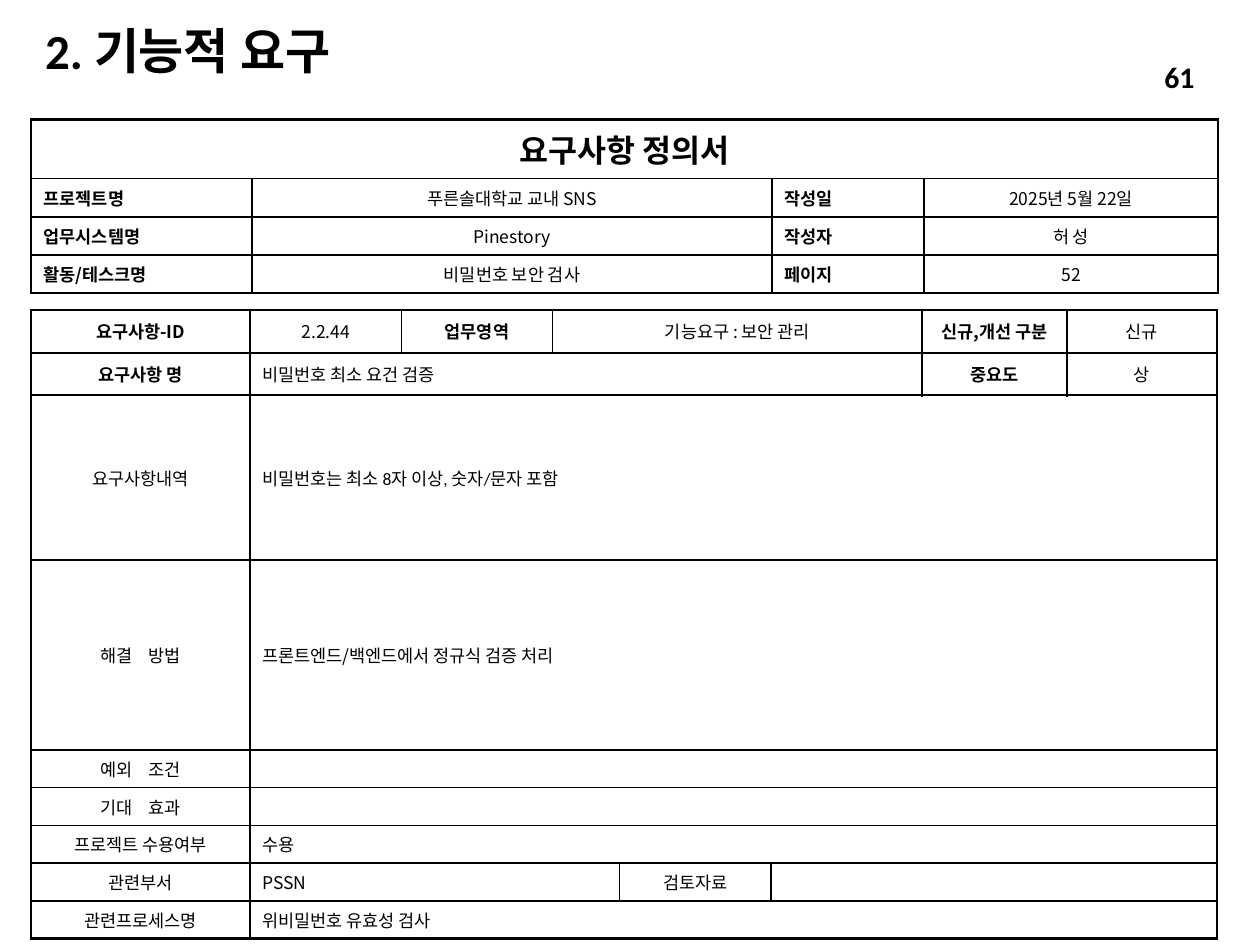
from dataclasses import dataclass

from lxml import etree
from pptx import Presentation
from pptx.dml.color import RGBColor
from pptx.enum.text import MSO_ANCHOR, PP_ALIGN
from pptx.oxml.ns import qn
from pptx.util import Cm, Pt

LEFT, MID, RIGHT, JUST = (PP_ALIGN.LEFT, PP_ALIGN.CENTER,
                          PP_ALIGN.RIGHT, PP_ALIGN.JUSTIFY)
TOP, CORE = MSO_ANCHOR.TOP, MSO_ANCHOR.MIDDLE
BLACK = "000000"
SANS, LATIN = "Noto Sans CJK KR", "Calibri"
THIN, THICK = 1, 1.5


@dataclass
class Cell:
    text: str = ""
    span: int = 1
    bold: bool = False
    align: PP_ALIGN = MID
    size: float = 10
    font: str = SANS
    anchor: MSO_ANCHOR = CORE
    gap: float = 0  # points added to each space


@dataclass
class Grid:
    left: float
    top: float
    cols: list[float]
    rows: list[float]
    cells: list[list[Cell]]
    heavy: set[int]  # horizontal rules drawn thick, counted from the top


def color(code: str) -> RGBColor:
    return RGBColor.from_string(code)


def style(para, size: float, font: str, bold: bool, align: PP_ALIGN) -> None:
    para.alignment = align
    para.font.size = Pt(size)
    para.font.name = font
    para.font.bold = bold
    para.font.color.rgb = color(BLACK)


def write(para, text: str, gap: float) -> None:
    """Add the text, with each space widened by gap points."""
    if not gap:
        para.add_run().text = text
        return
    for i, word in enumerate(text.split()):
        if i:
            space = para.add_run()
            space.text = " "
            space._r.get_or_add_rPr().set("spc", str(round(gap * 100)))
        para.add_run().text = word


def rule(cell, side: str, width: float) -> None:
    """Draw one border; call in the order L, R, T, B."""
    line = etree.SubElement(cell._tc.get_or_add_tcPr(), qn(f"a:ln{side}"),
                            w=str(Pt(width)))
    fill = etree.SubElement(line, qn("a:solidFill"))
    etree.SubElement(fill, qn("a:srgbClr"), val=BLACK)


def fill_cell(cell, item: Cell) -> None:
    cell.fill.background()
    cell.vertical_anchor = item.anchor
    para = cell.text_frame.paragraphs[0]
    style(para, item.size, item.font, item.bold, item.align)
    para.space_before = Pt(item.size * 0.2)
    if item.text:
        write(para, item.text, item.gap)


def draw_grid(slide, grid: Grid) -> None:
    high, wide = len(grid.rows), len(grid.cols)
    table = slide.shapes.add_table(
        high, wide, Cm(grid.left), Cm(grid.top),
        Cm(sum(grid.cols)), Cm(sum(grid.rows))).table
    table.first_row = table.horz_banding = False
    for col, width in zip(table.columns, grid.cols):
        col.width = Cm(width)
    for row, height in zip(table.rows, grid.rows):
        row.height = Cm(height)
    for r, items in enumerate(grid.cells):
        c = 0
        for item in items:
            cell, end = table.cell(r, c), c + item.span
            if item.span > 1:
                cell.merge(table.cell(r, end - 1))
            rule(cell, "L", THIN if c else THICK)
            rule(cell, "R", THICK if end == wide and item.span == 1 else THIN)
            rule(cell, "T", THICK if r in grid.heavy else THIN)
            rule(cell, "B", THICK if r + 1 in grid.heavy else THIN)
            fill_cell(cell, item)
            c = end


def add_label(slide, box: tuple, text: str, size: float, align: PP_ALIGN):
    frame = slide.shapes.add_textbox(*map(Cm, box)).text_frame
    frame.word_wrap = True
    frame.vertical_anchor = CORE
    para = frame.paragraphs[0]
    style(para, size, LATIN, True, align)
    para.add_run().text = text
    return para


def info(label: str, value: str, side: str, note: str) -> list[Cell]:
    return [Cell(label, bold=True, align=JUST, anchor=TOP),
            Cell(value, anchor=TOP),
            Cell(side, bold=True, align=JUST, anchor=TOP),
            Cell(note, anchor=TOP)]


def entry(label: str, value: str = "", font: str = SANS,
          gap: float = 0) -> list[Cell]:
    return [Cell(label, gap=gap), Cell(value, 7, align=LEFT, font=font)]


HEAD = Grid(0.63, 2.41, [4.45, 10.48, 3.07, 5.92], [1.19] + [0.77] * 3, [
    [Cell("요구사항 정의서", 4, True, size=18)],
    info("프로젝트명", "푸른솔대학교 교내 SNS", "작성일", "2025년 5월 22일"),
    info("업무시스템명", "Pinestory", "작성자", "허 성"),
    info("활동/테스크명", "비밀번호 보안 검사", "페이지", "52"),
], {0, 4})

BODY = Grid(
    0.63, 6.25, [4.41, 3.05, 3.05, 1.35, 3.05, 3.05, 2.92, 3.02],
    [0.86, 0.86, 3.32, 3.83] + [0.76] * 5, [
        [Cell("요구사항-ID", bold=True), Cell("2.2.44"),
         Cell("업무영역", bold=True), Cell("기능요구 : 보안 관리", 3),
         Cell("신규,개선 구분", bold=True), Cell("신규")],
        [Cell("요구사항 명", bold=True),
         Cell("비밀번호 최소 요건 검증", 5, align=LEFT),
         Cell("중요도", bold=True), Cell("상")],
        entry("요구사항내역", "비밀번호는 최소 8자 이상, 숫자/문자 포함", LATIN),
        entry("해결 방법", "프론트엔드/백엔드에서 정규식 검증 처리", gap=7),
        entry("예외 조건", gap=7),
        entry("기대 효과", gap=7),
        entry("프로젝트 수용여부", "수용"),
        [Cell("관련부서"), Cell("PSSN", 3, align=LEFT),
         Cell("검토자료"), Cell(span=3)],
        entry("관련프로세스명", "위비밀번호 유효성 검사"),
    ], {0, 1, 2, 9})


def main() -> None:
    deck = Presentation()
    deck.slide_width, deck.slide_height = Cm(25.4), Cm(19.05)
    slide = deck.slides.add_slide(deck.slide_layouts[6])
    title = add_label(slide, (0.66, 0.53, 13.61, 1.12), "2. 기능적 요구", 28, LEFT)
    title.line_spacing = 0.9
    draw_grid(slide, BODY)
    draw_grid(slide, HEAD)
    add_label(slide, (20.22, 1.04, 4.11, 1.02), "61", 17, RIGHT)
    deck.save("out.pptx")


if __name__ == "__main__":
    main()
